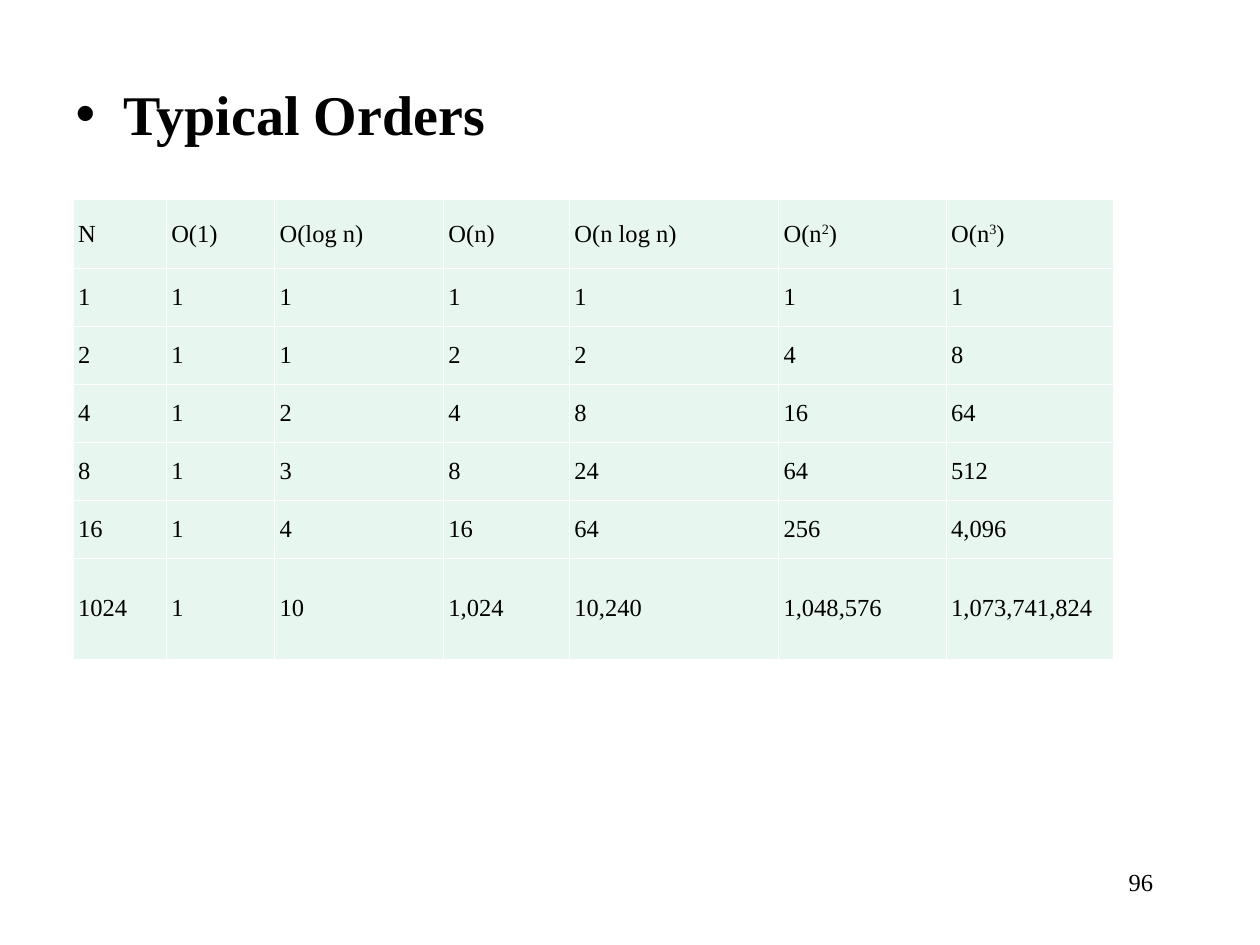
from lxml.etree import SubElement
from pptx import Presentation
from pptx.dml.color import RGBColor
from pptx.enum.text import MSO_ANCHOR, MSO_AUTO_SIZE, PP_ALIGN
from pptx.oxml.ns import qn
from pptx.util import Inches, Pt

BLACK = RGBColor(0x00, 0x00, 0x00)
WHITE = RGBColor(0xFF, 0xFF, 0xFF)
MINT = RGBColor(0xE7, 0xF6, 0xEF)

HEADING_FONT = {"name": "Times New Roman", "size": Pt(32), "bold": True}
BODY_FONT = {"name": "Times New Roman", "size": Pt(14), "bold": False}
CELL_FORMAT = {
    "vertical_anchor": MSO_ANCHOR.MIDDLE,
    "margin_left": Inches(0.04),
    "margin_right": Inches(0.04),
    "margin_top": Inches(0.05),
    "margin_bottom": Inches(0.05),
}
COLUMN_WIDTHS = [0.74, 0.86, 1.34, 1, 1.66, 1.33, 1.33]
ROW_HEIGHTS = [0.55] + [0.46] * 5 + [0.8]
GROWTH = [
    ["N", "O(1)", "O(log n)", "O(n)", "O(n log n)", "O(n^2^)", "O(n^3^)"],
    ["1", "1", "1", "1", "1", "1", "1"],
    ["2", "1", "1", "2", "2", "4", "8"],
    ["4", "1", "2", "4", "8", "16", "64"],
    ["8", "1", "3", "8", "24", "64", "512"],
    ["16", "1", "4", "16", "64", "256", "4,096"],
    ["1024", "1", "10", "1,024", "10,240", "1,048,576", "1,073,741,824"],
]


def apply_format(target, values):
    for attribute, value in values.items():
        setattr(target, attribute, value)


def add_text(paragraph, text, font_format):
    for position, part in enumerate(text.split("^")):
        run = paragraph.add_run()
        run.text = part
        apply_format(run.font, font_format)
        run.font.color.rgb = BLACK
        if position % 2:
            run.font._element.set("baseline", "30000")


def add_bullet(paragraph, indent):
    properties = paragraph._p.get_or_add_pPr()
    properties.set("marL", str(indent))
    properties.set("indent", str(-indent))
    bullet_color = SubElement(properties, qn("a:buClr"))
    SubElement(bullet_color, qn("a:srgbClr"), val=str(BLACK))
    SubElement(properties, qn("a:buChar"), char="•")


def add_heading(slide, text):
    heading = slide.placeholders[1]
    apply_format(heading, {
        "left": Inches(0.5), "top": Inches(0.58),
        "width": Inches(8.5), "height": Inches(4.5),
    })
    heading.text_frame.auto_size = MSO_AUTO_SIZE.NONE
    paragraph = heading.text_frame.paragraphs[0]
    paragraph.space_before = Pt(8)
    add_bullet(paragraph, Inches(0.38))
    add_text(paragraph, text, HEADING_FONT)


def add_page_number(slide, number):
    page_number = slide.shapes.add_textbox(
        Inches(7.17), Inches(6.83), Inches(2.08), Inches(0.5))
    page_number.text_frame.word_wrap = True
    paragraph = page_number.text_frame.paragraphs[0]
    paragraph.alignment = PP_ALIGN.RIGHT
    add_text(paragraph, number, BODY_FONT)


def add_borders(cell):
    properties = cell._tc.get_or_add_tcPr()
    for position, side in enumerate(("a:lnL", "a:lnR", "a:lnT", "a:lnB")):
        border = SubElement(properties, qn(side), w=str(Pt(0.45)))
        fill = SubElement(border, qn("a:solidFill"))
        SubElement(fill, qn("a:srgbClr"), val=str(WHITE))
        properties.insert(position, border)


def add_growth_table(slide):
    table = slide.shapes.add_table(
        len(GROWTH), len(COLUMN_WIDTHS), Inches(0.58), Inches(1.58),
        Inches(sum(COLUMN_WIDTHS)), Inches(sum(ROW_HEIGHTS))).table
    apply_format(table, {"first_row": False, "horz_banding": False})
    for column, width in zip(table.columns, COLUMN_WIDTHS):
        column.width = Inches(width)
    for row, height, values in zip(table.rows, ROW_HEIGHTS, GROWTH):
        row.height = Inches(height)
        for cell, value in zip(row.cells, values):
            apply_format(cell, CELL_FORMAT)
            cell.fill.solid()
            cell.fill.fore_color.rgb = MINT
            add_borders(cell)
            add_text(cell.text_frame.paragraphs[0], value, BODY_FONT)


def main():
    presentation = Presentation()
    apply_format(presentation, {
        "slide_width": Inches(10), "slide_height": Inches(7.5),
    })
    slide = presentation.slides.add_slide(presentation.slide_layouts[1])
    empty_title = slide.shapes.title.element
    empty_title.getparent().remove(empty_title)
    add_heading(slide, "Typical Orders")
    add_page_number(slide, "96")
    add_growth_table(slide)
    presentation.save("out.pptx")


if __name__ == "__main__":
    main()
